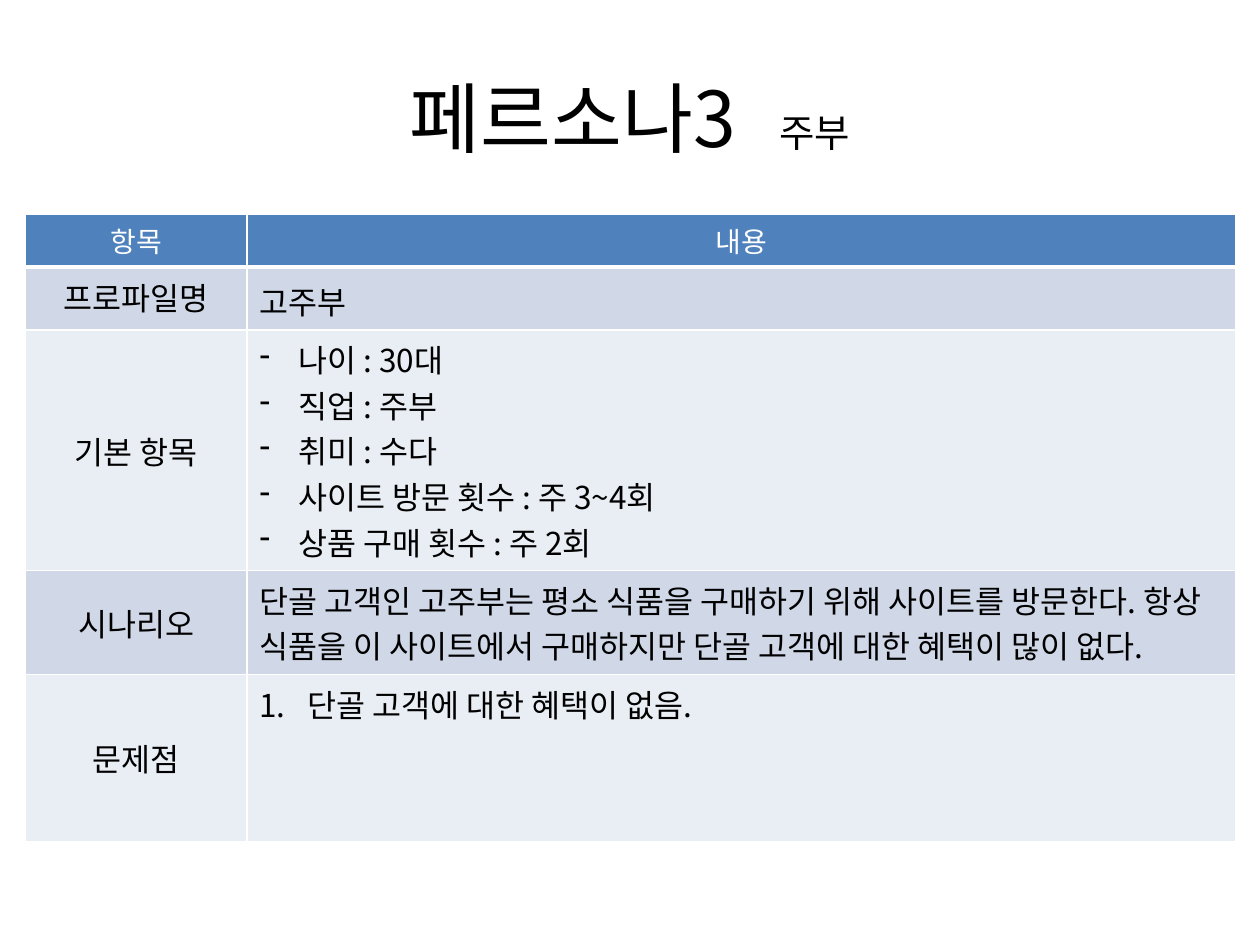
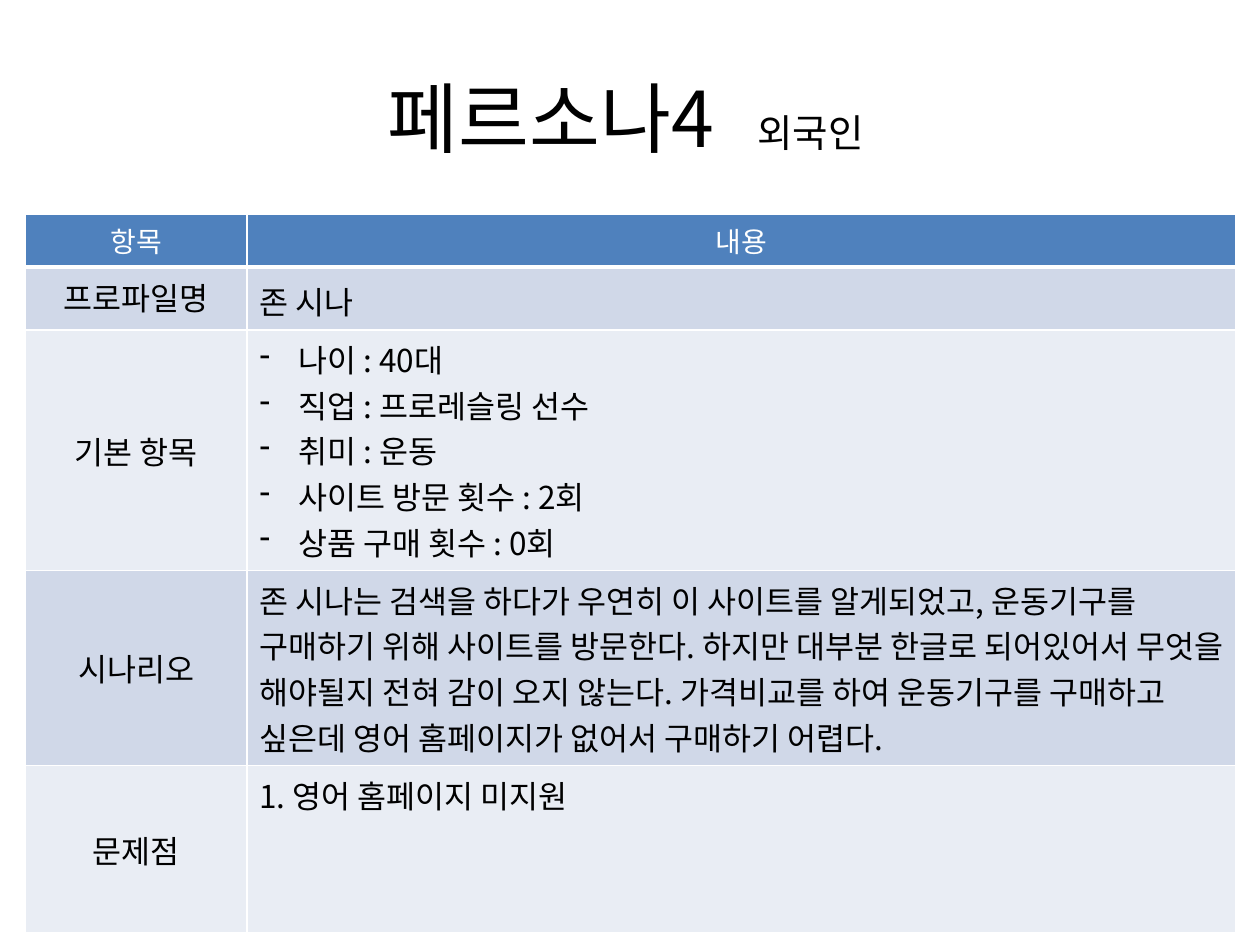
from dataclasses import dataclass

from lxml.etree import SubElement
from pptx import Presentation
from pptx.dml.color import RGBColor
from pptx.enum.text import MSO_ANCHOR as Anchor, PP_ALIGN as Align
from pptx.oxml.ns import qn
from pptx.slide import Slide
from pptx.table import Table, _Cell as Cell
from pptx.text.text import _Paragraph as Paragraph
from pptx.util import Emu, Inches, Pt

WIDTH, HEIGHT = Inches(10), Inches(7.5)
GRID_COLUMN, GRID_ROW = WIDTH / 50, HEIGHT / 75
FONT = "Noto Sans CJK KR"
COLORS = {
    "text": "000000",
    "header_text": "FFFFFF",
    "border": "FFFFFF",
    "header": "4F81BD",
    "odd_band": "D0D8E8",
    "even_band": "E9EDF4",
}
HEADINGS = ("항목", "내용")
COLUMN_SPANS = (8.8, 39.25)
TITLE_SIZE, ROLE_SIZE, HEADER_SIZE, BODY_SIZE = 44, 22, 16, 18


@dataclass(frozen=True)
class ListStyle:
    tag: str
    attribute: str
    value: str
    indent: float


DASHES = ListStyle("a:buChar", "char", "-", 0.31)
NUMBERS = ListStyle("a:buAutoNum", "type", "arabicPeriod", 0.38)


@dataclass(frozen=True)
class Entry:
    label: str
    lines: tuple[str, ...]
    row_span: float
    list_style: ListStyle | None = None
    label_anchor: Anchor = Anchor.MIDDLE
    line_spacing: float | None = None


@dataclass(frozen=True)
class Persona:
    number: int
    role: str
    name: str
    facts: tuple[str, ...]
    scenario: str
    scenario_span: float
    problem: str
    problem_style: ListStyle | None = None

    def entries(self) -> list[Entry]:
        return [
            Entry("프로파일명", (self.name,), 4.9, label_anchor=Anchor.TOP, line_spacing=1.1),
            Entry("기본 항목", self.facts, 19, DASHES),
            Entry("시나리오", (self.scenario,), self.scenario_span),
            Entry("문제점", (self.problem,), 13.3, self.problem_style),
        ]


PERSONAS = (
    Persona(
        3,
        "주부",
        "고주부",
        ("나이 : 30대", "직업 : 주부", "취미 : 수다",
         "사이트 방문 횟수 : 주 3~4회", "상품 구매 횟수 : 주 2회"),
        "단골 고객인 고주부는 평소 식품을 구매하기 위해 사이트를 방문한다. "
        "항상 식품을 이 사이트에서 구매하지만 단골 고객에 대한 혜택이 많이 없다.",
        8.1,
        "단골 고객에 대한 혜택이 없음.",
        NUMBERS,
    ),
    Persona(
        4,
        "외국인 ",
        "존 시나",
        ("나이 : 40대", "직업 : 프로레슬링 선수", "취미 : 운동",
         "사이트 방문 횟수 : 2회", "상품 구매 횟수 : 0회"),
        "존 시나는 검색을 하다가 우연히 이 사이트를 알게되었고, 운동기구를 구매하기 위해 "
        "사이트를 방문한다. 하지만 대부분 한글로 되어있어서 무엇을 해야될지 전혀 감이 오지 "
        "않는다. 가격비교를 하여 운동기구를 구매하고 싶은데 영어 홈페이지가 없어서 "
        "구매하기 어렵다.",
        15.4,
        "1. 영어 홈페이지 미지원",
    ),
)


def columns(count: float) -> Emu:
    return Emu(round(count * GRID_COLUMN))


def rows(count: float) -> Emu:
    return Emu(round(count * GRID_ROW))


def color(name: str) -> RGBColor:
    return RGBColor.from_string(COLORS[name])


def format_paragraph(paragraph: Paragraph, size: float, color_name: str, align: Align) -> None:
    paragraph.alignment = align
    font = paragraph.font
    font.name, font.size = FONT, Pt(size)
    font.color.rgb = color(color_name)
    defaults = paragraph._p.pPr.find(qn("a:defRPr"))
    SubElement(defaults, qn("a:ea"), typeface=FONT)


def add_list_mark(paragraph: Paragraph, style: ListStyle) -> None:
    properties = paragraph._p.get_or_add_pPr()
    indent = Inches(style.indent)
    properties.set("marL", str(indent))
    properties.set("indent", str(-indent))
    SubElement(properties, qn(style.tag), {style.attribute: style.value})


def add_borders(cell: Cell, bottom_width: float) -> None:
    properties = cell._tc.get_or_add_tcPr()
    for side, width in (("L", 1), ("R", 1), ("T", 1), ("B", bottom_width)):
        line = SubElement(properties, qn(f"a:ln{side}"), w=str(Pt(width)))
        fill = SubElement(line, qn("a:solidFill"))
        SubElement(fill, qn("a:srgbClr"), val=COLORS["border"])


def fill_cell(
    cell: Cell,
    lines: tuple[str, ...],
    fill_name: str,
    align: Align = Align.LEFT,
    anchor: Anchor = Anchor.TOP,
    list_style: ListStyle | None = None,
    line_spacing: float | None = None,
    is_header: bool = False,
) -> None:
    add_borders(cell, 3 if is_header else 1)
    cell.fill.solid()
    cell.fill.fore_color.rgb = color(fill_name)
    cell.vertical_anchor = anchor
    cell.text = "\n".join(lines)
    size = HEADER_SIZE if is_header else BODY_SIZE
    text_color = "header_text" if is_header else "text"
    for paragraph in cell.text_frame.paragraphs:
        if list_style:
            add_list_mark(paragraph, list_style)
        if line_spacing:
            paragraph.line_spacing = line_spacing
        format_paragraph(paragraph, size, text_color, align)


def set_title(slide: Slide, persona: Persona) -> None:
    title = slide.shapes.title
    title.left, title.top = columns(2.5), rows(3)
    title.width, title.height = columns(45), rows(12.5)
    title.text_frame.vertical_anchor = Anchor.MIDDLE
    paragraph = title.text_frame.paragraphs[0]
    format_paragraph(paragraph, TITLE_SIZE, "text", Align.CENTER)
    for text, size, spacing in (
        (f"페르소나{persona.number}", TITLE_SIZE, 0),
        (" ", TITLE_SIZE, 15),
        (persona.role, ROLE_SIZE, 0),
    ):
        run = paragraph.add_run()
        run.text = text
        run.font.size = Pt(size)
        if spacing:
            run._r.get_or_add_rPr().set("spc", str(spacing * 100))


def add_persona_table(slide: Slide, entries: list[Entry]) -> Table:
    row_spans = [4.1, *(entry.row_span for entry in entries)]
    table = slide.shapes.add_table(
        len(row_spans), len(COLUMN_SPANS), columns(1), rows(17),
        columns(sum(COLUMN_SPANS)), rows(sum(row_spans)),
    ).table
    for column, span in zip(table.columns, COLUMN_SPANS):
        column.width = columns(span)
    for row, span in zip(table.rows, row_spans):
        row.height = rows(span)
    for index, heading in enumerate(HEADINGS):
        fill_cell(table.cell(0, index), (heading,), "header",
                  Align.CENTER, Anchor.MIDDLE, is_header=True)
    for index, entry in enumerate(entries, start=1):
        band = "odd_band" if index % 2 else "even_band"
        fill_cell(table.cell(index, 0), (entry.label,), band,
                  Align.CENTER, entry.label_anchor)
        fill_cell(table.cell(index, 1), entry.lines, band,
                  list_style=entry.list_style, line_spacing=entry.line_spacing)
    return table


def main() -> None:
    presentation = Presentation()
    presentation.slide_width, presentation.slide_height = WIDTH, HEIGHT
    title_only = presentation.slide_layouts[5]
    for persona in PERSONAS:
        slide = presentation.slides.add_slide(title_only)
        set_title(slide, persona)
        add_persona_table(slide, persona.entries())
    presentation.save("out.pptx")


if __name__ == "__main__":
    main()
